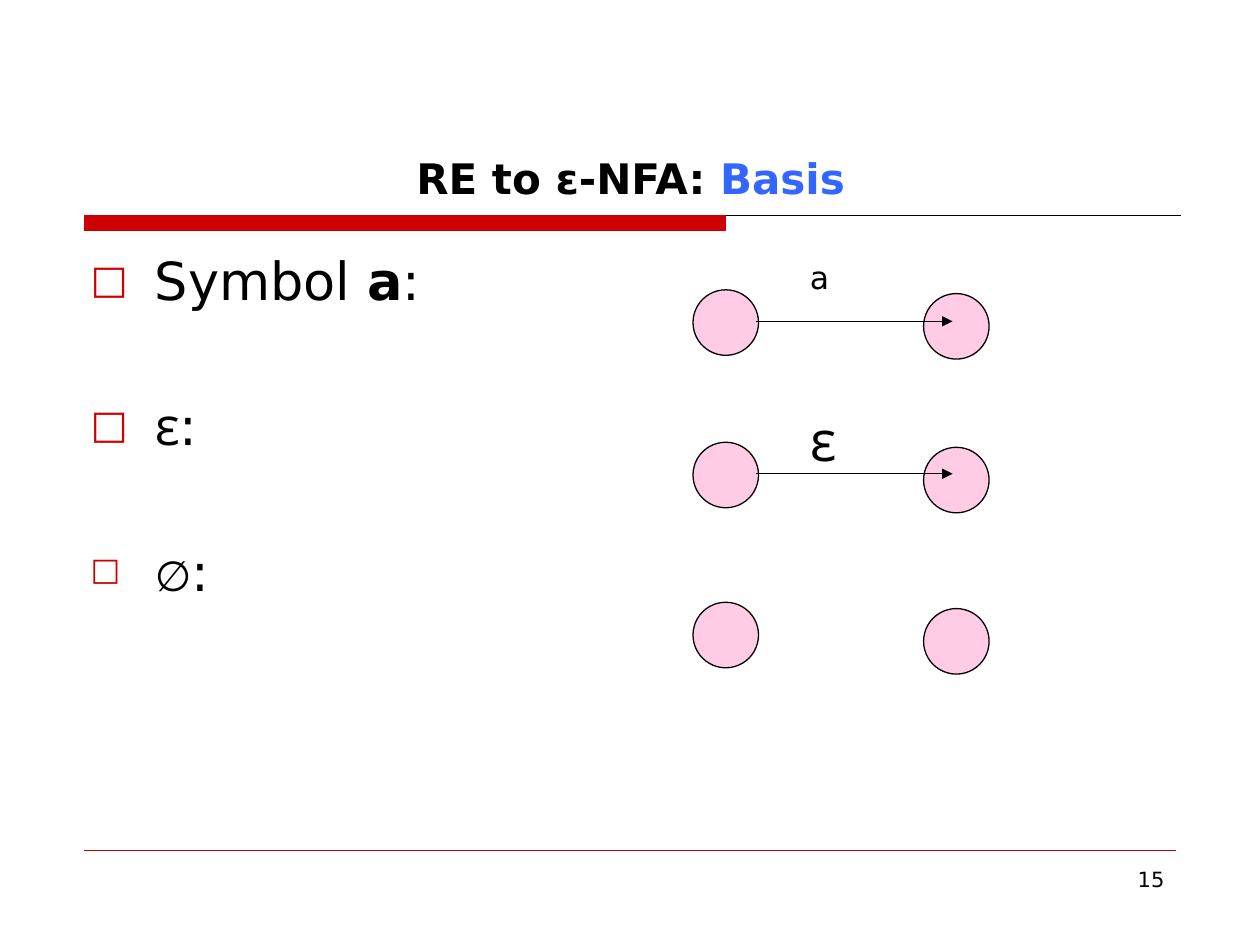
from lxml import etree
from pptx import Presentation
from pptx.dml.color import RGBColor
from pptx.enum import shapes, text
from pptx.oxml.ns import qn
from pptx.util import Inches, Pt

THEME = dict(
    font="DejaVu Sans", symbol_font="Open Sans",
    ink="000000", red="CC0000", blue="3366FF", pink="FF99CC",
    title=24, body=30, empty_set=24, number=12, line=0.75,
)
SYMBOL = dict(font=THEME["symbol_font"])

TITLE = [("RE to ε-NFA: ", dict(bold=True)),
         ("Basis", dict(bold=True, color=THEME["blue"]))]
CASES = [
    [("Symbol ", {}), ("a", dict(bold=True)), (":", {})],
    [("ε", SYMBOL), (":", {})],
    [("∅", dict(SYMBOL, size=THEME["empty_set"])), (":", {})],
]
# start-state top, end-state top, arrow y, label (text, top, format)
AUTOMATA = [
    (2.3, 2.33, 2.55, ("a", 2.0, dict(size=18))),
    (3.51, 3.55, 3.76, ("ε", 3.17, dict(SYMBOL, size=32))),
    (4.78, 4.83, None, None),
]
START_X, END_X, LABEL_X, STATE = 5.5, 7.33, 6.33, 0.52
ARROW_X = (6, 7.56)
CASE_GAP = 47  # points between one case and the next


def rgb(name):
    return RGBColor.from_string(name)


def add_run(p, words, size, font=THEME["font"], color=THEME["ink"], bold=False):
    r = p.add_run()
    r.text = words
    r.font.name, r.font.size, r.font.bold = font, Pt(size), bold
    r.font.color.rgb = rgb(color)
    for tag in ("a:ea", "a:cs", "a:sym"):
        if tag != "a:sym":
            etree.SubElement(r.font._element, qn(tag), typeface=font)


def add_runs(p, runs, size):
    for words, fmt in runs:
        add_run(p, words, **{"size": size, **fmt})


def add_box(slide, left, top, width, height):
    tf = slide.shapes.add_textbox(*map(Inches, (left, top, width, height))).text_frame
    tf.word_wrap = True
    return tf


def add_bullet(p, indent=0.51):
    pPr = p._p.get_or_add_pPr()
    pPr.set("marL", str(Inches(indent)))
    pPr.set("indent", str(-Inches(indent)))
    color = etree.SubElement(pPr, qn("a:buClr"))
    etree.SubElement(color, qn("a:srgbClr"), val=THEME["red"])
    etree.SubElement(pPr, qn("a:buSzPct"), val="75000")
    etree.SubElement(pPr, qn("a:buFont"), typeface=THEME["font"])
    etree.SubElement(pPr, qn("a:buChar"), char="□")


def add_line(slide, x1, y1, x2, y2, color, arrow=False):
    line = slide.shapes.add_connector(
        shapes.MSO_CONNECTOR.STRAIGHT, *map(Inches, (x1, y1, x2, y2)))
    line.line.color.rgb = rgb(color)
    line.line.width = Pt(THEME["line"])
    if arrow:
        etree.SubElement(line.line._get_or_add_ln(), qn("a:tailEnd"), type="triangle")
    etree.SubElement(line._element.spPr, qn("a:effectLst"))


def add_shape(slide, kind, left, top, width, height, fill, line, alpha=None):
    sp = slide.shapes.add_shape(kind, *map(Inches, (left, top, width, height)))
    sp.shadow.inherit = False
    sp.fill.solid()
    sp.fill.fore_color.rgb = rgb(fill)
    sp.line.color.rgb = rgb(line)
    sp.line.width = Pt(THEME["line"])
    if alpha:
        color = sp._element.spPr.find(qn("a:solidFill"))[0]
        etree.SubElement(color, qn("a:alpha"), val=str(alpha * 1000))


def add_frame(slide):
    """Title, the rules under it and at the foot, and the slide number."""
    red = THEME["red"]
    add_line(slide, 0.67, 1.71, 9.37, 1.71, THEME["ink"])
    add_shape(slide, shapes.MSO_SHAPE.RECTANGLE, 0.67, 1.71, 5.09, 0.12, red, red)
    add_line(slide, 0.67, 6.75, 9.33, 6.75, red)

    title = slide.shapes.title
    title.left, title.top, title.width, title.height = map(
        Inches, (0.63, 0.33, 8.75, 1.33))
    tf = title.text_frame
    tf.vertical_anchor = text.MSO_ANCHOR.BOTTOM
    tf.paragraphs[0].alignment = text.PP_ALIGN.CENTER
    add_runs(tf.paragraphs[0], TITLE, THEME["title"])

    p = add_box(slide, 7.17, 6.83, 2.17, 0.52).paragraphs[0]
    p.alignment = text.PP_ALIGN.RIGHT
    add_run(p, "15", THEME["number"])


def add_cases(slide):
    tf = add_box(slide, 0.62, 1.92, 8.75, 4.67)
    for i, runs in enumerate(CASES):
        p = tf.add_paragraph() if i else tf.paragraphs[0]
        p.space_before = Pt(CASE_GAP if i else 0)
        add_bullet(p)
        add_runs(p, runs, THEME["body"])


def add_automaton(slide, start_y, end_y, arrow_y, label):
    for x, y in ((START_X, start_y), (END_X, end_y)):
        add_shape(slide, shapes.MSO_SHAPE.OVAL, x, y, STATE, STATE,
                  THEME["pink"], THEME["ink"], alpha=50)
    if label:
        add_line(slide, ARROW_X[0], arrow_y, ARROW_X[1], arrow_y,
                 THEME["ink"], arrow=True)
        words, top, fmt = label
        add_run(add_box(slide, LABEL_X, top, STATE, STATE).paragraphs[0], words, **fmt)


def main():
    prs = Presentation()
    prs.slide_width, prs.slide_height = Inches(10), Inches(7.5)
    slide = prs.slides.add_slide(prs.slide_layouts[5])
    add_frame(slide)
    add_cases(slide)
    for automaton in AUTOMATA:
        add_automaton(slide, *automaton)
    prs.save("out.pptx")


if __name__ == "__main__":
    main()
